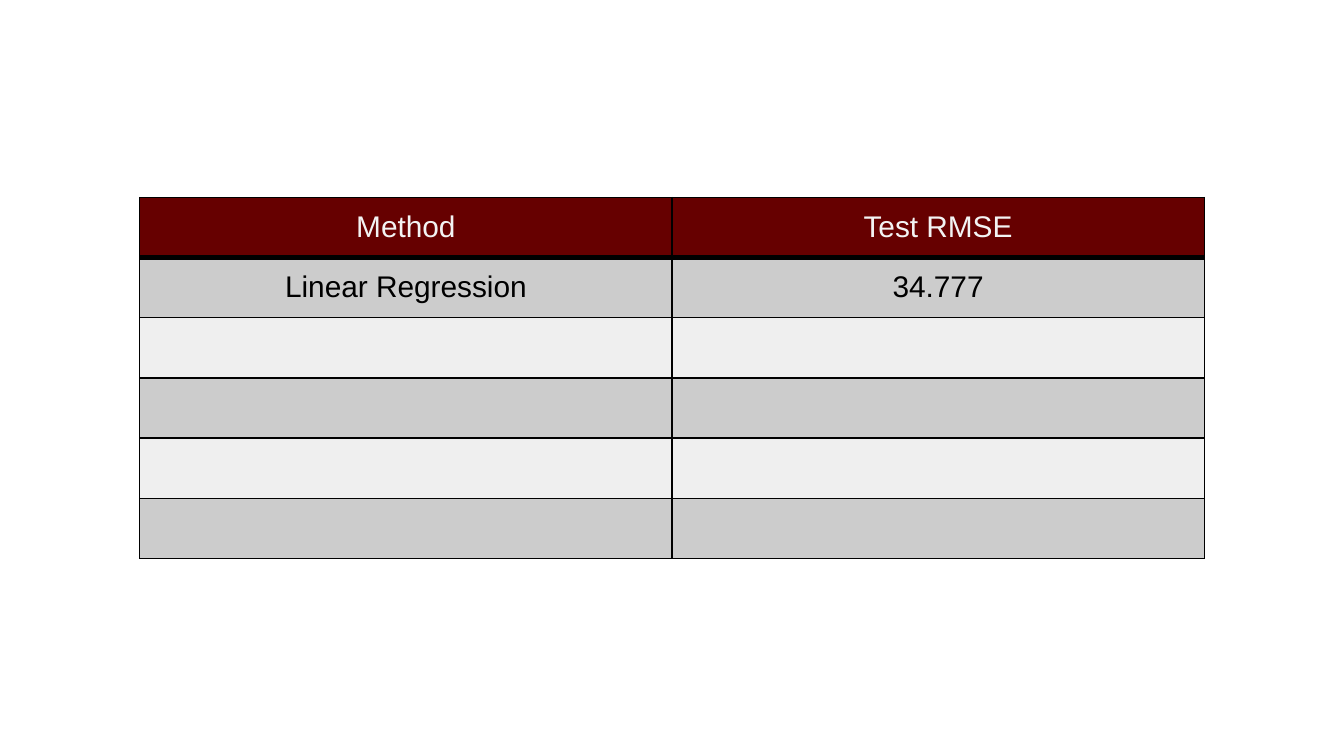
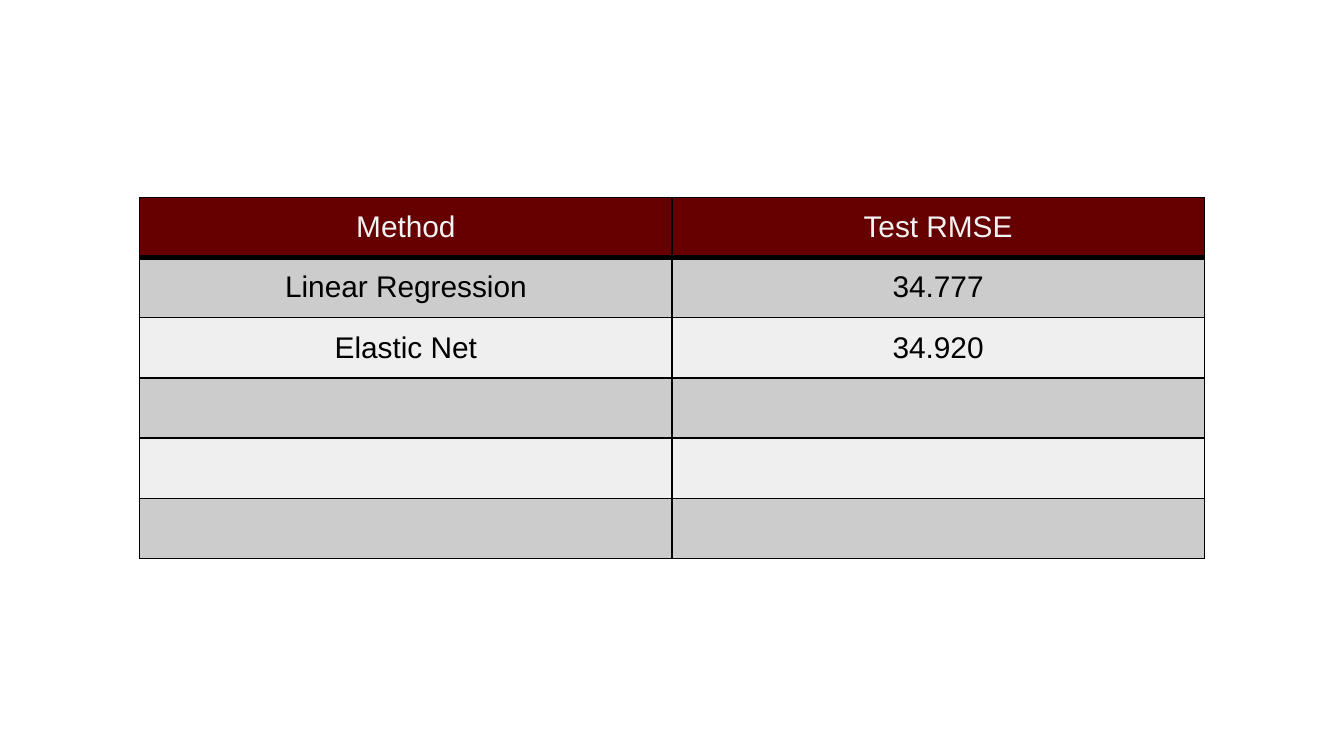
import pptx
import pptx.dml.color
import pptx.enum.text
import pptx.oxml.ns
import pptx.util
import lxml.etree

Inches = pptx.util.Inches
Pt = pptx.util.Pt
COLORS = {
    "header": "660000",
    "header_text": "F3F3F3",
    "text": "000000",
    "border": "000000",
    "odd": "CCCCCC",
    "even": "EFEFEF",
}
FONT = "Arial"
FONT_SIZE = Pt(16)
THIN, THICK = Pt(0.75), Pt(3)
ROW_COUNT = 6
HEADER = ("Method", "Test RMSE")
RESULTS = [("Linear Regression", "34.777"), ("Elastic Net", "34.920")]


def rgb(name):
    return pptx.dml.color.RGBColor.from_string(COLORS[name])


def add_child(parent, tag, **attributes):
    child = lxml.etree.SubElement(parent, pptx.oxml.ns.qn(tag))
    for key, value in attributes.items():
        child.set(key, str(value))
    return child


def set_borders(cell, top, bottom):
    tcPr = cell._tc.get_or_add_tcPr()
    widths = {"a:lnL": THIN, "a:lnR": THIN, "a:lnT": top, "a:lnB": bottom}
    for tag, width in widths.items():
        line = add_child(tcPr, tag, w=int(width), cmpd="sng")
        add_child(add_child(line, "a:solidFill"), "a:srgbClr", val=COLORS["border"])
        add_child(line, "a:prstDash", val="solid")


def fill_cell(cell, row, text):
    cell.margin_left = cell.margin_right = Inches(0.1)
    cell.margin_top = cell.margin_bottom = Inches(0.1)
    set_borders(cell, THICK if row == 1 else THIN, THICK if row == 0 else THIN)
    cell.fill.solid()
    cell.fill.fore_color.rgb = rgb("header" if row == 0 else "odd" if row % 2 else "even")
    p = cell.text_frame.paragraphs[0]
    p.alignment = pptx.enum.text.PP_ALIGN.CENTER
    if text:
        p.text = text
    else:
        add_child(p._p, "a:endParaRPr", sz=int(FONT_SIZE.pt * 100))
    p.font.name = FONT
    p.font.size = FONT_SIZE
    p.font.color.rgb = rgb("header_text" if row == 0 else "text")


def add_results_slide(prs, results):
    s = prs.slides.add_slide(prs.slide_layouts[6])
    height = Inches(2.8)
    frame = s.shapes.add_table(
        ROW_COUNT, len(HEADER), Inches(1.04), Inches(1.47), Inches(7.92), height
    )
    table = frame.table
    rows = [HEADER, *results]
    for i, row in enumerate(table.rows):
        row.height = Inches(0.42)
        texts = rows[i] if i < len(rows) else ("",) * len(HEADER)
        for cell, text in zip(row.cells, texts):
            fill_cell(cell, i, text)
    frame.height = height


def main():
    prs = pptx.Presentation()
    prs.slide_width = Inches(10)
    prs.slide_height = prs.slide_width * 9 // 16
    for count in range(1, len(RESULTS) + 1):
        add_results_slide(prs, RESULTS[:count])
    prs.save("out.pptx")


if __name__ == "__main__":
    main()
